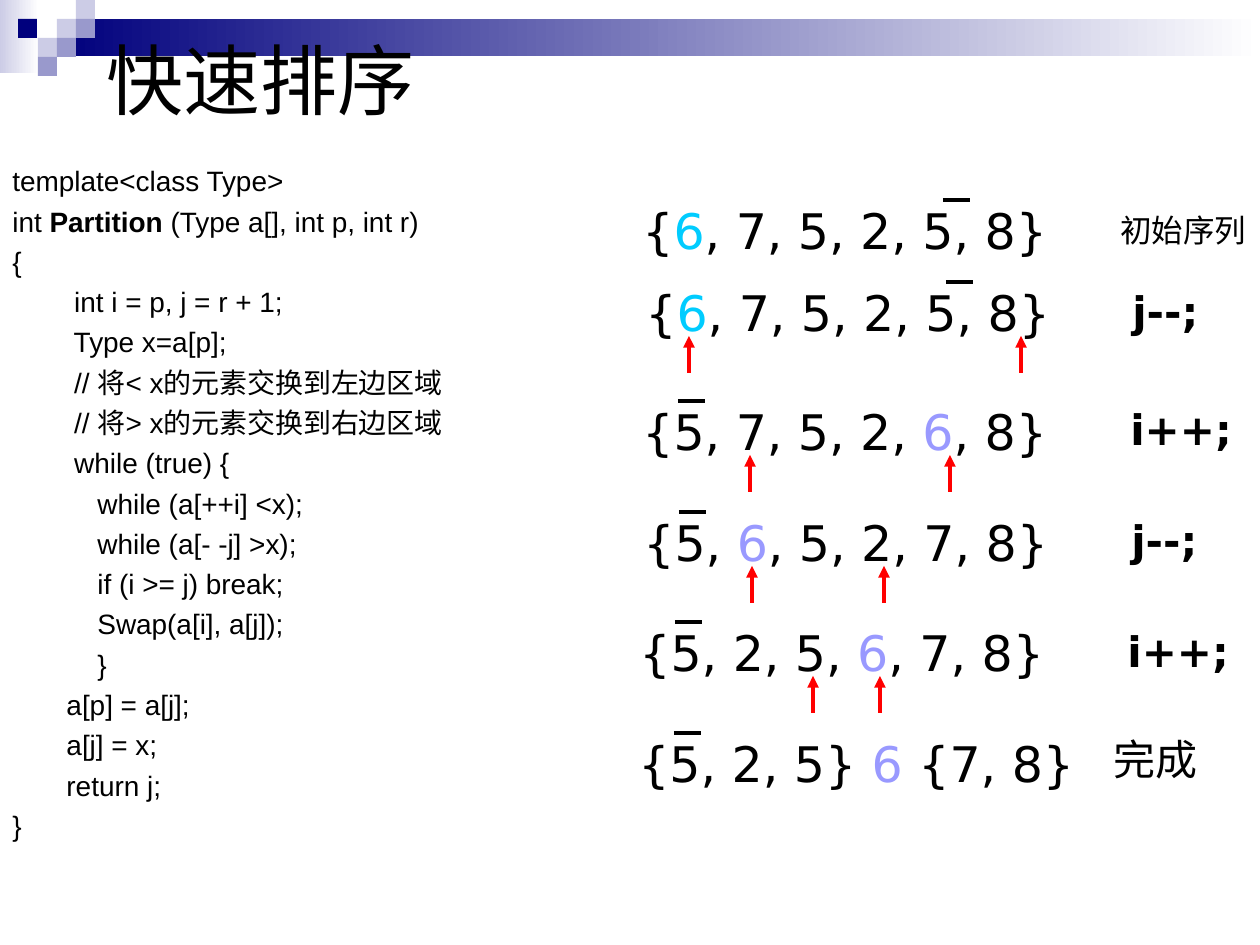
from lxml.etree import SubElement
from pptx import Presentation
from pptx.dml.color import RGBColor
from pptx.enum.shapes import MSO_CONNECTOR, MSO_SHAPE
from pptx.enum.text import MSO_ANCHOR, MSO_AUTO_SIZE, PP_ALIGN
from pptx.oxml.ns import qn
from pptx.util import Emu, Pt

BLACK = RGBColor(0x00, 0x00, 0x00)
WHITE = RGBColor(0xFF, 0xFF, 0xFF)
RED = RGBColor(0xFF, 0x00, 0x00)
CYAN = RGBColor(0x00, 0xCC, 0xFF)
LILAC = RGBColor(0x99, 0x99, 0xFF)
NAVY = RGBColor(0x00, 0x00, 0x7D)
PALE = RGBColor(0xCC, 0xCC, 0xE6)
MID = RGBColor(0x99, 0x99, 0xCC)

SANS, MONO, HAN = "Arial", "DejaVu Sans", "Noto Sans CJK SC"

BANDS = [((0, 0, 39, 73), PALE), ((57, 19, 1203, 37), NAVY)]
TILES = [(57, 19, PALE), (76, 0, PALE), (76, 19, MID), (38, 38, PALE),
         (18, 19, NAVY), (57, 38, MID), (38, 57, MID)]
TILE = 19

CODE = """template<class Type>
int Partition (Type a[], int p, int r)
{
        int i = p, j = r + 1;
        Type x=a[p];
        // 将< x的元素交换到左边区域
        // 将> x的元素交换到右边区域
        while (true) {
           while (a[++i] <x);
           while (a[- -j] >x);
           if (i >= j) break;
           Swap(a[i], a[j]);
           }
       a[p] = a[j];
       a[j] = x;
       return j;
}"""

# left, top, width, numbers, pivot colour, bar offset, arrow offsets
STEPS = [
    (630, 194, 449, "{6, 7, 5, 2, 5, 8}", CYAN, 313, ()),
    (633, 276, 449, "{6, 7, 5, 2, 5, 8}", CYAN, 313, (388, 56)),
    (630, 395, 449, "{5, 7, 5, 2, 6, 8}", LILAC, 48, (320, 120)),
    (631, 506, 449, "{5, 6, 5, 2, 7, 8}", LILAC, 48, (253, 121)),
    (627, 616, 449, "{5, 2, 5, 6, 7, 8}", LILAC, 48, (253, 186)),
    (626, 727, 480, "{5, 2, 5} 6 {7, 8}", LILAC, 48, ()),
]
# left, top, width, text, size, bold
NOTES = [
    (1108, 205, 152, "初始序列", 18, False),
    (1120, 279, 100, "j--;", 24, True),
    (1118, 397, 130, "i++;", 24, True),
    (1119, 508, 100, "j--;", 24, True),
    (1115, 619, 130, "i++;", 24, True),
    (1101, 727, 110, "完成", 24, False),
]


def px(*vals):
    return [Emu(round(v * 914400 / 126)) for v in vals]


def add_run(para, text, size, face, color=BLACK, bold=False):
    run = para.add_run()
    run.text = text
    font = run.font
    font.size, font.name, font.bold = Pt(size), face, bold
    font.color.rgb = color
    SubElement(font._element, qn("a:ea")).set("typeface", HAN)


def add_box(slide, area, wrap=False):
    frame = slide.shapes.add_textbox(*px(*area)).text_frame
    frame.word_wrap = wrap
    frame.auto_size = MSO_AUTO_SIZE.SHAPE_TO_FIT_TEXT
    return frame


def add_rect(slide, area, color, fade=False):
    """Add a borderless block behind the title."""
    rect = slide.shapes.add_shape(MSO_SHAPE.RECTANGLE, *px(*area))
    rect.shadow.inherit = False
    rect.line.fill.background()
    if fade:
        rect.fill.gradient()
        rect.fill.gradient_angle = 0
        for stop, shade in zip(rect.fill.gradient_stops, (color, WHITE)):
            stop.color.rgb = shade
    else:
        rect.fill.solid()
        rect.fill.fore_color.rgb = color
    slide.shapes.title.element.addprevious(rect.element)


def add_line(slide, ends, color, arrow=False):
    line = slide.shapes.add_connector(MSO_CONNECTOR.STRAIGHT, *px(*ends))
    line.line.color.rgb = color
    line.line.width = Pt(2.25)
    if arrow:
        SubElement(line.line._get_or_add_ln(), qn("a:tailEnd")).set("type", "triangle")
    SubElement(line.element.spPr, qn("a:effectLst"))


def add_title(slide, text):
    title = slide.shapes.title
    title.left, title.top, title.width, title.height = px(94, 0, 1071, 158)
    frame = title.text_frame
    frame.vertical_anchor = MSO_ANCHOR.MIDDLE
    para = frame.paragraphs[0]
    para.alignment = PP_ALIGN.LEFT
    add_run(para, text, 44, HAN)


def add_code(slide):
    frame = add_box(slide, (0, 149, 591, 701), wrap=True)
    frame.vertical_anchor = MSO_ANCHOR.MIDDLE
    name = "Partition"
    for num, text in enumerate(CODE.split("\n")):
        para = frame.add_paragraph() if num else frame.paragraphs[0]
        para.line_spacing = 1.2
        head, bold, rest = text.partition(name)
        for part in filter(None, (head, bold, rest)):
            add_run(para, part, 16, SANS, bold=part == name)


def add_step(slide, left, top, width, text, color, bar, arrows):
    """Add one row: numbers with the pivot coloured, a bar and pointers."""
    para = add_box(slide, (left, top, width, 72)).paragraphs[0]
    head, pivot, rest = text.partition("6")
    for part, shade in ((head, BLACK), (pivot, color), (rest, BLACK)):
        add_run(para, part, 28, MONO, shade)
    add_line(slide, (left + bar, top + 6, left + bar + 27, top + 6), BLACK)
    for gap in arrows:
        add_line(slide, (left + gap, top + 97, left + gap, top + 60), RED, arrow=True)


def add_note(slide, left, top, width, text, size, bold):
    frame = add_box(slide, (left, top, width, 63 if size > 18 else 50))
    add_run(frame.paragraphs[0], text, size, MONO, bold=bold)


def main():
    deck = Presentation()
    deck.slide_width, deck.slide_height = px(1260, 945)
    slide = deck.slides.add_slide(deck.slide_layouts[5])
    for area, color in BANDS:
        add_rect(slide, area, color, fade=True)
    for left, top, color in TILES:
        add_rect(slide, (left, top, TILE, TILE), color)
    add_title(slide, "快速排序")
    add_code(slide)
    for step in STEPS:
        add_step(slide, *step)
    for note in NOTES:
        add_note(slide, *note)
    deck.save("out.pptx")


if __name__ == "__main__":
    main()
